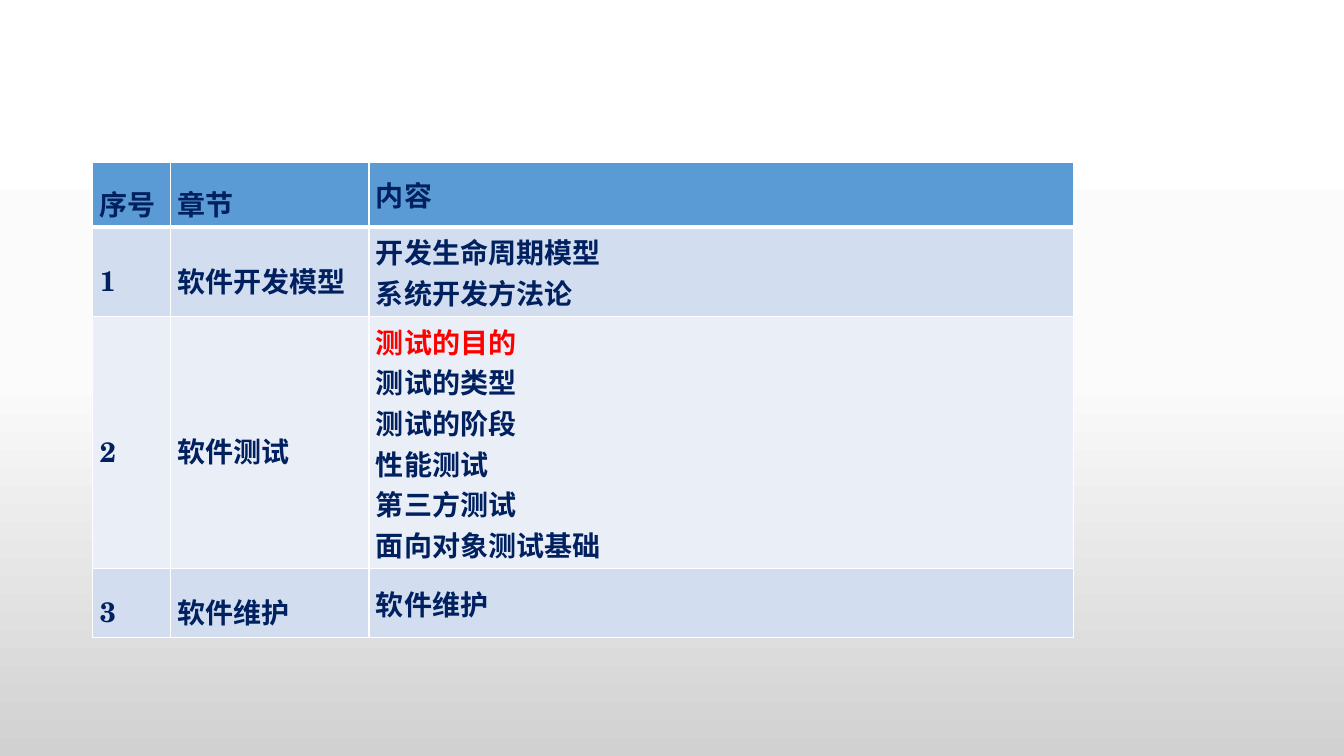
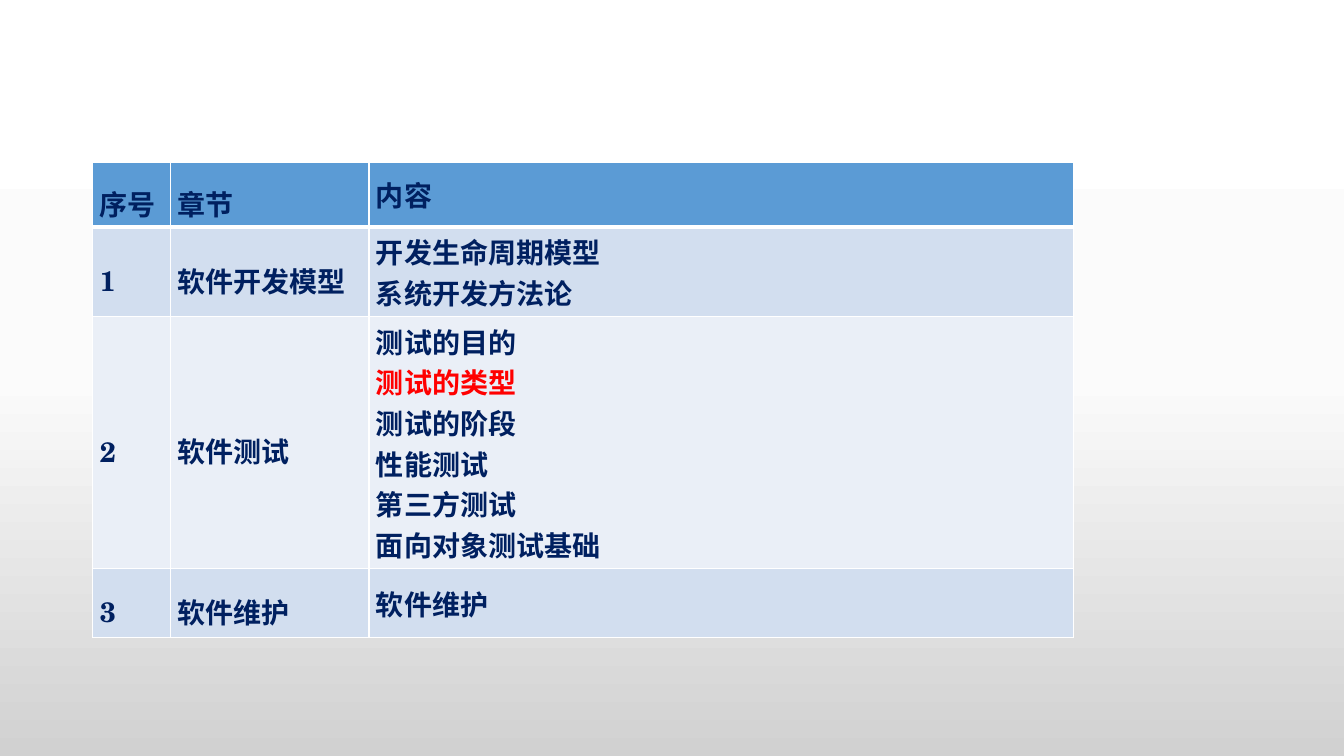
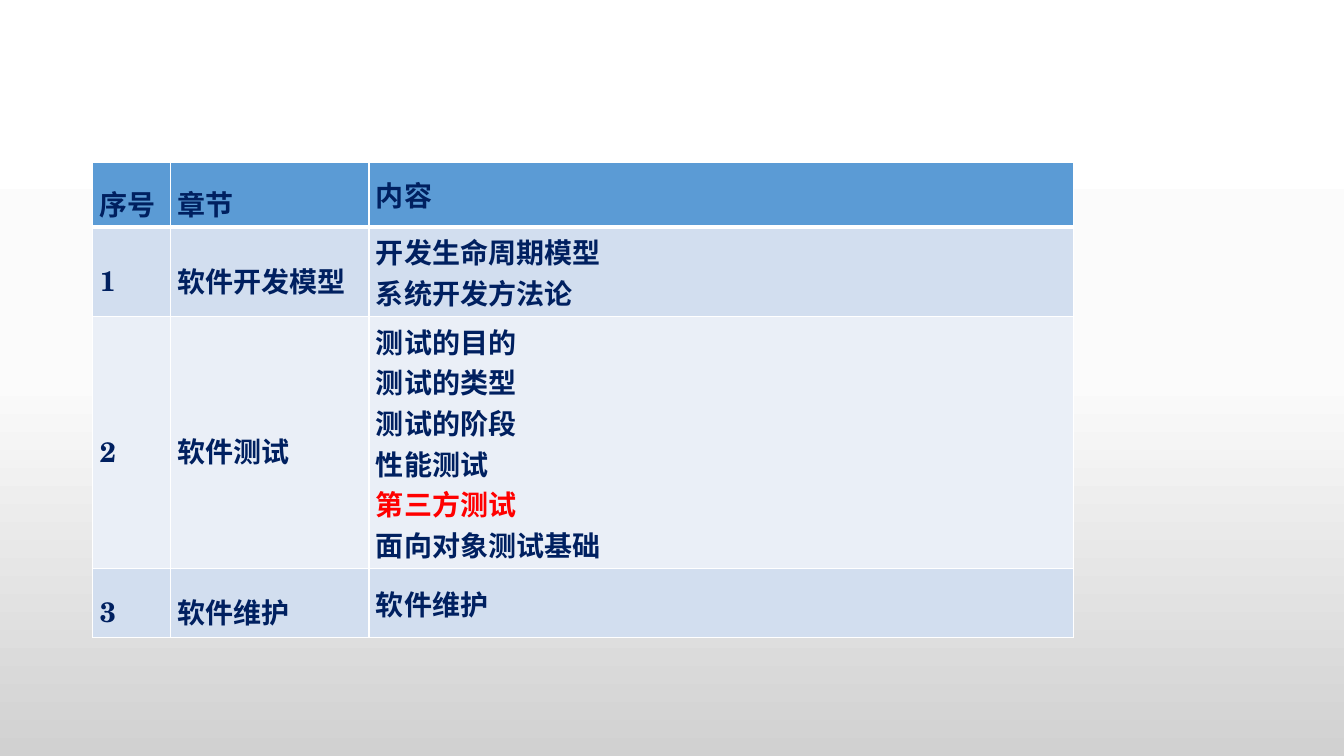
from copy import deepcopy
from dataclasses import dataclass

from lxml import etree
from pptx import Presentation
from pptx.dml.color import RGBColor
from pptx.enum.text import MSO_ANCHOR
from pptx.oxml.ns import qn
from pptx.util import Inches, Pt

MIDDLE = MSO_ANCHOR.MIDDLE
BLANK_LAYOUT = 6


@dataclass(frozen=True)
class Theme:
    text: str = "002060"
    accent: str = "FF0000"
    header: str = "5B9BD5"
    bands: tuple = ("D2DEEF", "EAEFF7")
    border: str = "FFFFFF"
    background: tuple = ((0, "FFFFFF"), (0.5, "FBFBFB"), (1, "D1D1D1"))
    font: str = "TeX Gyre Schola"
    size: int = 20
    label_spacing: float = 1.4
    thin: int = 1
    thick: int = 3


# Table content: number, chapter, topics
HEADER = ("序号", "章节", ["内容"])
CHAPTERS = [
    ("1", "软件开发模型", ["开发生命周期模型", "系统开发方法论"]),
    ("2", "软件测试", ["测试的目的", "测试的类型", "测试的阶段",
                   "性能测试", "第三方测试", "面向对象测试基础"]),
    ("3", "软件维护", ["软件维护"]),
]
COL_WIDTHS = (0.77, 1.97, 6.99)
ROW_HEIGHT = 0.41  # rows grow to fit their text
CURRENT_TOPICS = ("测试的目的", "测试的类型", "第三方测试")


class Deck:
    def __init__(self, theme):
        self.theme = theme
        self.prs = Presentation()
        self.prs.slide_width = Inches(13.33)
        self.prs.slide_height = Inches(7.5)
        self.slide = None
        self.set_background()

    def set_background(self):
        """Give the master a vertical gradient."""
        master = self.prs.slide_master
        fill = master.background.fill
        fill.gradient()
        fill.gradient_angle = 270
        stops = master.element.find(".//" + qn("a:gsLst"))
        stops.insert(1, deepcopy(stops[0]))
        for stop, (position, color) in zip(fill.gradient_stops, self.theme.background):
            stop.position = position
            stop.color.rgb = RGBColor.from_string(color)

    def add_slide(self):
        layout = self.prs.slide_layouts[BLANK_LAYOUT]
        self.slide = self.prs.slides.add_slide(layout)

    def add_border(self, cell, side, width):
        tc_pr = cell._tc.get_or_add_tcPr()
        ln = etree.SubElement(tc_pr, qn(f"a:ln{side}"), w=str(Pt(width)))
        fill = etree.SubElement(ln, qn("a:solidFill"))
        etree.SubElement(fill, qn("a:srgbClr"), val=self.theme.border)

    def style_cell(self, cell, row):
        t = self.theme
        cell.vertical_anchor = MIDDLE
        cell.margin_left = cell.margin_right = Inches(0.07)
        cell.margin_top = cell.margin_bottom = Inches(0.04)
        # Borders come before the fill in the cell properties
        widths = {"L": t.thin, "R": t.thin,
                  "T": t.thick if row == 1 else t.thin,
                  "B": t.thick if row == 0 else t.thin}
        for side, width in widths.items():
            self.add_border(cell, side, width)
        cell.fill.solid()
        color = t.bands[(row - 1) % 2] if row else t.header
        cell.fill.fore_color.rgb = RGBColor.from_string(color)

    def write_cell(self, cell, lines, spacing=None, highlight=None):
        t = self.theme
        tf = cell.text_frame
        tf.text = "\n".join(lines)
        for p in tf.paragraphs:
            p.line_spacing = spacing
            p.font.name = t.font
            p.font.size = Pt(t.size)
            p.font.bold = True
            color = t.accent if p.text == highlight else t.text
            p.font.color.rgb = RGBColor.from_string(color)

    def add_outline(self, highlight):
        rows = [HEADER, *CHAPTERS]
        frame = self.slide.shapes.add_table(
            len(rows), len(COL_WIDTHS),
            Inches(0.92), Inches(1.61), Inches(9.72), Inches(3.9))
        table = frame.table
        table.first_row = table.horz_banding = False
        for column, width in zip(table.columns, COL_WIDTHS):
            column.width = Inches(width)
        for i, (number, chapter, topics) in enumerate(rows):
            table.rows[i].height = Inches(ROW_HEIGHT)
            cells = table.rows[i].cells
            for cell in cells:
                self.style_cell(cell, i)
            for cell, label in zip(cells, (number, chapter)):
                self.write_cell(cell, [label], spacing=self.theme.label_spacing)
            self.write_cell(cells[2], topics, highlight=highlight)
        frame.height = Inches(3.9)


def main():
    deck = Deck(Theme())
    # One outline slide per current topic
    for topic in CURRENT_TOPICS:
        deck.add_slide()
        deck.add_outline(topic)
    deck.prs.save("out.pptx")


if __name__ == "__main__":
    main()
